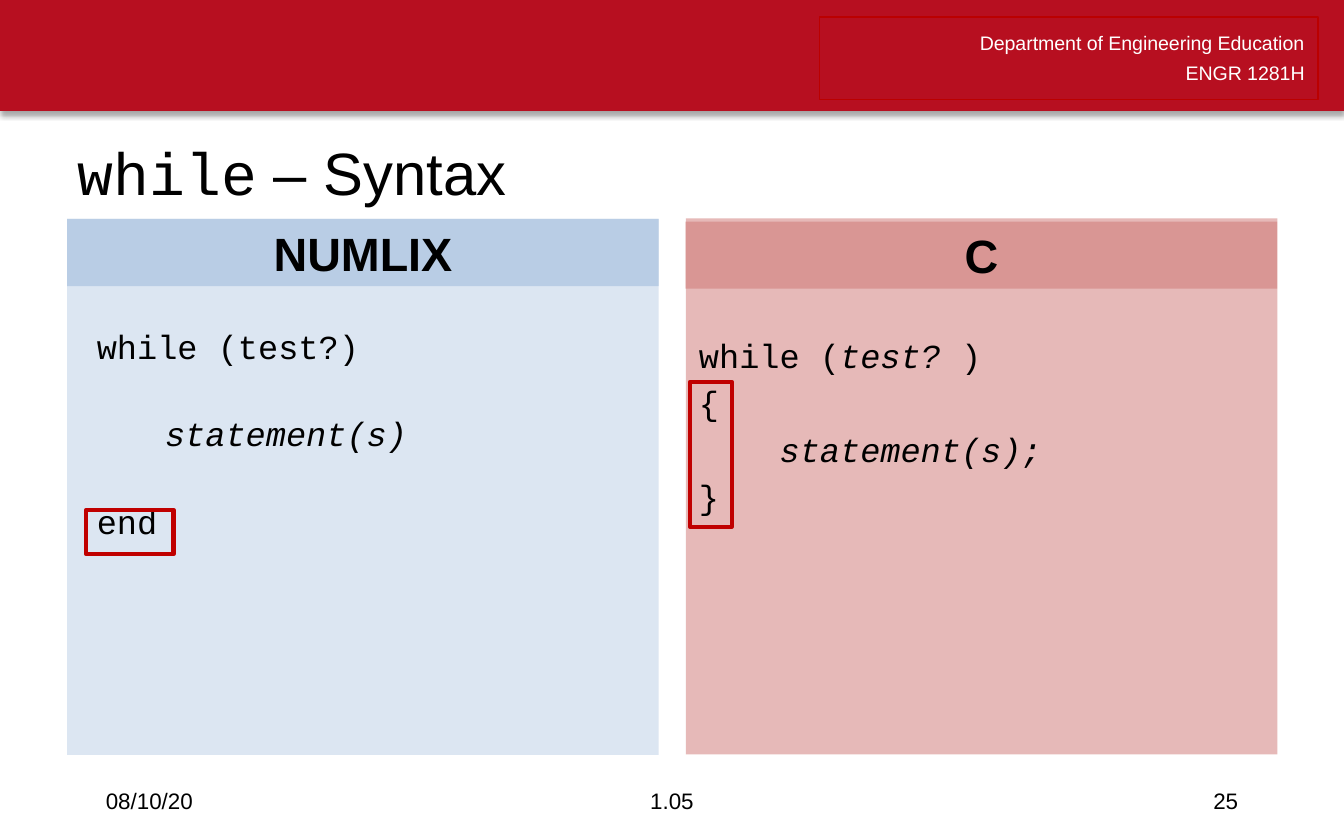
import pptx
import pptx.util
import pptx.dml.color
import pptx.enum.shapes
import pptx.enum.text
import pptx.oxml
import pptx.oxml.ns

Cm = pptx.util.Cm
Pt = pptx.util.Pt
ALIGN = pptx.enum.text.PP_ALIGN
MIDDLE = pptx.enum.text.MSO_ANCHOR.MIDDLE
CODE = "Courier New"
HUES = {
    "bar": "B70F20", "edge": "BB0000", "frame": "C00000",
    "blue": "DCE6F2", "navy": "B9CDE5", "pink": "E6B9B8", "rose": "D99694",
    "ink": "000000", "white": "FFFFFF",
}


def hue(name):
    return pptx.dml.color.RGBColor.from_string(HUES[name])


def place(shape, left, top, width, height):
    shape.left, shape.top = Cm(left), Cm(top)
    shape.width, shape.height = Cm(width), Cm(height)


def style(font, size, color="ink", face="Arial", bold=False):
    font.size = Pt(size)
    font.name = face
    font.bold = bold
    font.color.rgb = hue(color)


def write(shape, lines, size, align, color="ink", bold=False, pitch=None):
    frame = shape.text_frame
    frame.word_wrap = True
    frame.vertical_anchor = MIDDLE
    frame.text = "\n".join(lines)
    for para in frame.paragraphs:
        para.alignment = align
        para.line_spacing = pitch
        style(para.font, size, color, bold=bold)


def add_box(slide, spot, fill=None, line=None, width=0):
    kind = pptx.enum.shapes.MSO_SHAPE.RECTANGLE
    box = slide.shapes.add_shape(kind, *map(Cm, spot))
    box.shadow.inherit = False
    if fill:
        box.fill.solid()
        box.fill.fore_color.rgb = hue(fill)
    else:
        box.fill.background()
    if line:
        box.line.color.rgb = hue(line)
        box.line.width = Pt(width)
    else:
        box.line.fill.background()
    return box


def add_shade(box):
    list_tag = box._element.spPr.find(pptx.oxml.ns.qn("a:effectLst"))
    list_tag.append(pptx.oxml.parse_xml(
        f'<a:outerShdw {pptx.oxml.ns.nsdecls("a")} blurRad="{Pt(3.1)}" '
        f'dist="{Pt(1.8)}" dir="5400000" algn="t" rotWithShape="0">'
        '<a:srgbClr val="000000"><a:alpha val="35000"/></a:srgbClr>'
        '</a:outerShdw>'))


def fill_code(body, spot, fill, inset, gap, lines):
    place(body, *spot)
    body.fill.solid()
    body.fill.fore_color.rgb = hue(fill)
    frame = body.text_frame
    frame.auto_size = pptx.enum.text.MSO_AUTO_SIZE.NONE
    frame.margin_left, frame.margin_top = map(Cm, inset)
    for row, (indent, parts) in enumerate(lines):
        para = frame.add_paragraph() if row else frame.paragraphs[0]
        para.space_before = Pt(gap if row else 0)
        props = para._p.get_or_add_pPr()
        props.set("marL", str(Cm(indent)))
        props.set("indent", "0")
        props.append(pptx.oxml.parse_xml(
            f'<a:buNone {pptx.oxml.ns.nsdecls("a")}/>'))
        style(para.font, 18, face=CODE)
        for text, slant in parts:
            run = para.add_run()
            run.text = text
            run.font.italic = slant


def fill_title(title):
    place(title, 1.22, 2.35, 23.04, 1.8)
    frame = title.text_frame
    frame.auto_size = pptx.enum.text.MSO_AUTO_SIZE.NONE
    frame.vertical_anchor = MIDDLE
    para = frame.paragraphs[0]
    para.alignment = ALIGN.LEFT
    for text, face in (("while", CODE), (" – Syntax", "Arial")):
        run = para.add_run()
        run.text = text
        style(run.font, 32, face=face)


def add_head(slide):
    add_shade(add_box(slide, (0, 0, 25.4, 2.1), "bar"))
    label = add_box(slide, (15.49, 0.32, 9.42, 1.56), None, "edge", 0.75)
    write(label, ["Department of Engineering Education", "ENGR 1281H"],
          10.5, ALIGN.RIGHT, "white", pitch=Pt(16.4))
    label.text_frame.margin_bottom = Cm(0.28)


def add_foot(slide):
    for text, left, width, align in (
            ("08/10/20", 1.75, 5.72, ALIGN.LEFT),
            ("1.05", 8.41, 8.58, ALIGN.CENTER),
            ("25", 17.93, 5.72, ALIGN.RIGHT)):
        box = slide.shapes.add_textbox(
            Cm(left), Cm(14.71), Cm(width), Cm(0.84))
        write(box, [text], 12, align)


def main():
    deck = pptx.Presentation()
    deck.slide_width, deck.slide_height = Cm(25.4), Cm(15.88)
    slide = deck.slides.add_slide(deck.slide_layouts[3])
    title, left, right = slide.placeholders
    add_head(slide)
    fill_title(title)
    fill_code(left, (1.27, 4.14, 11.18, 10.13), "blue", (0.56, 2.02), 25.2, [
        (0, [("while (test?)", False)]),
        (1.29, [("statement(s)", True)]),
        (0, [("end", False)]),
    ])
    fill_code(right, (12.96, 4.13, 11.18, 10.13), "pink", (0.25, 2.2), 3.6, [
        (0, [("while (", False), ("test?", True), (" )", False)]),
        (0, [("{", False)]),
        (0, [("    ", False), ("statement(s);", True)]),
        (0, [("}", False)]),
    ])
    for text, x, y, fill in (("NUMLIX", 1.27, 4.14, "navy"),
                             ("C", 12.96, 4.19, "rose")):
        band = add_box(slide, (x, y, 11.18, 1.27), fill)
        write(band, [text], 25, ALIGN.CENTER, bold=True)
    for spot in ((13.04, 7.22, 0.79, 2.74), (1.63, 9.64, 1.65, 0.84)):
        add_box(slide, spot, None, "frame", 2.25)
    add_foot(slide)
    deck.save("out.pptx")


if __name__ == "__main__":
    main()
